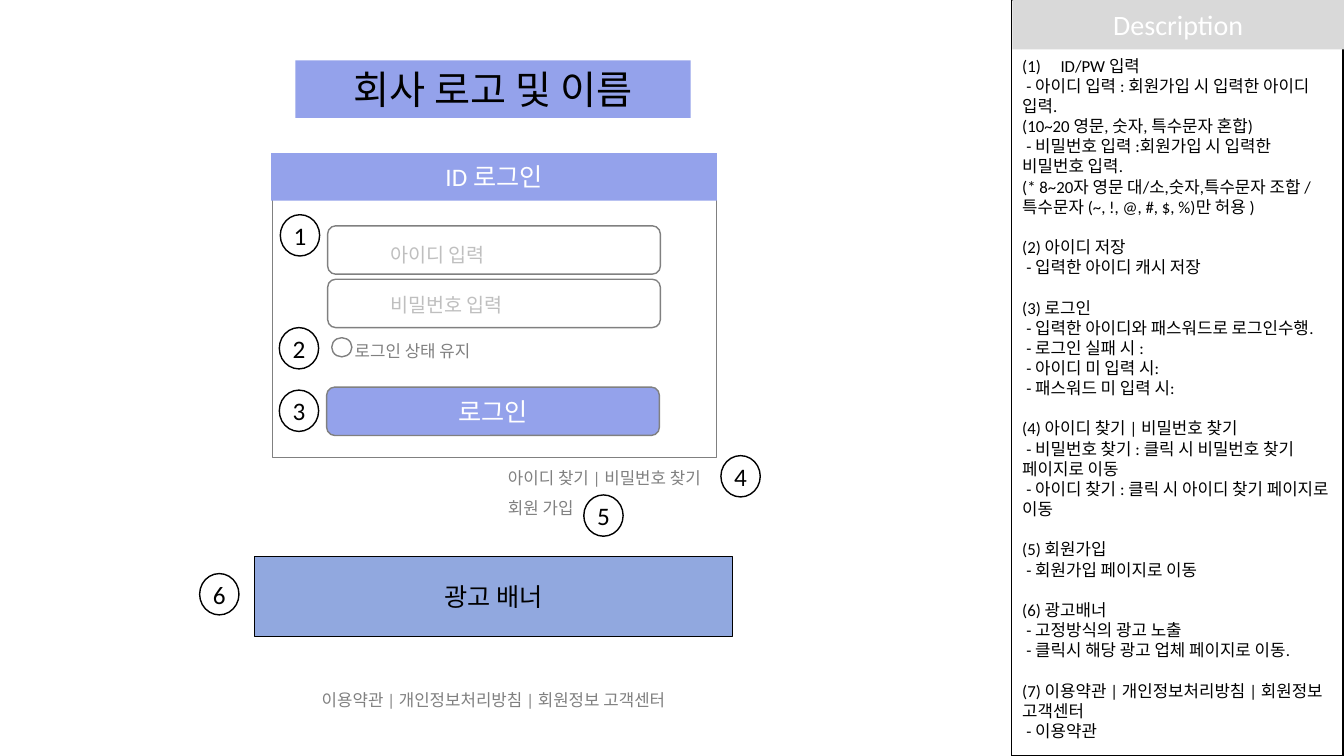
import pptx
import pptx.util
import pptx.dml.color
import pptx.enum.shapes
import pptx.enum.text
import pptx.oxml.ns
from lxml import etree

# Content
TITLE = "회사 로고 및 이름"
FORM_TITLE = "ID 로그인"
FIELDS = ["아이디 입력", "비밀번호 입력"]
KEEP_LOGIN = "로그인 상태 유지"
LOGIN_BUTTON = "로그인"
LINKS = ["아이디 찾기 | 비밀번호 찾기", "회원 가입"]
BANNER = "광고 배너"
FOOTER = "이용약관 | 개인정보처리방침 | 회원정보 고객센터"
PANEL_TITLE = "Description"
DESCRIPTION = [
    ("ID/PW 입력", [
        "- 아이디 입력 : 회원가입 시 입력한 아이디 입력.",
        "(10~20 영문, 숫자, 특수문자 혼합)",
        "- 비밀번호 입력 :회원가입 시 입력한 비밀번호 입력.",
        "(* 8~20자 영문 대/소,숫자,특수문자 조합 / 특수문자 (~, !, @, #, $, %)만 허용 )",
    ]),
    ("(2) 아이디 저장", ["- 입력한 아이디 캐시 저장"]),
    ("(3) 로그인", [
        "- 입력한 아이디와 패스워드로 로그인수행.",
        "- 로그인 실패 시 :",
        "- 아이디 미 입력 시:",
        "- 패스워드 미 입력 시:",
    ]),
    ("(4) 아이디 찾기 | 비밀번호 찾기", [
        "- 비밀번호 찾기 : 클릭 시 비밀번호 찾기 페이지로 이동",
        "- 아이디 찾기 : 클릭 시 아이디 찾기 페이지로 이동",
    ]),
    ("(5) 회원가입", ["- 회원가입 페이지로 이동"]),
    ("(6) 광고배너", ["- 고정방식의 광고 노출", "- 클릭시 해당 광고 업체 페이지로 이동."]),
    ("(7) 이용약관 | 개인정보처리방침 | 회원정보 고객센터", ["- 이용약관"]),
]

# Style
FONT = "Calibri"
COLORS = {"black": "000000", "white": "FFFFFF", "accent": "94A2EB", "banner": "2452C1",
          "gray": "808080", "hint": "BFBFBF", "panel": "D9D9D9"}
SHAPE = pptx.enum.shapes.MSO_SHAPE
ALIGN = pptx.enum.text.PP_ALIGN
ANCHOR = pptx.enum.text.MSO_ANCHOR
Inches = pptx.util.Inches
Pt = pptx.util.Pt

# Layout in inches
WIDTH, HEIGHT = 13.33, 7.5
PANEL_LEFT, PANEL_WIDTH, PANEL_HEADER = 10.04, 3.29, 0.49
FORM_LEFT, FORM_TOP, FORM_WIDTH, FORM_HEIGHT = 2.7, 1.52, 4.41, 3.02
FIELD_LEFT, FIELD_TOP, FIELD_WIDTH, FIELD_HEIGHT, FIELD_PITCH = 3.25, 2.24, 3.3, 0.48, 0.53
HINT_LEFT, HINT_TOP, HINT_PITCH = 3.77, 2.36, 0.5
LINK_LEFT, LINK_TOP, LINK_PITCH = 4.94, 4.59, 0.3
MARK_WIDTH, MARK_HEIGHT = 0.39, 0.41
MARKS = [(2.78, 2.13), (2.77, 3.25), (2.77, 3.87), (7.15, 4.52), (5.79, 4.91), (1.98, 5.69)]
LINE_PITCH = 14.4

presentation = pptx.Presentation()
presentation.slide_width, presentation.slide_height = Inches(WIDTH), Inches(HEIGHT)
slide = presentation.slides.add_slide(presentation.slide_layouts[5])


def rgb(name):
    return pptx.dml.color.RGBColor.from_string(COLORS[name])


def style(paragraph, size, color, align=ALIGN.LEFT):
    paragraph.alignment = align
    paragraph.font.size = Pt(size)
    paragraph.font.name = FONT
    paragraph.font.color.rgb = rgb(color)


def add_box(kind, box, fill=None, line=None, weight=1, text="", size=18, color="white", inset=0.1):
    shape = slide.shapes.add_shape(kind, *map(Inches, box))
    shape.shadow.inherit = False
    if fill:
        shape.fill.solid()
        shape.fill.fore_color.rgb = rgb(fill)
    else:
        shape.fill.background()
    if line:
        shape.line.color.rgb = rgb(line)
        shape.line.width = Pt(weight)
    else:
        shape.line.fill.background()
    if text:
        frame = shape.text_frame
        frame.margin_left = frame.margin_right = Inches(inset)
        frame.margin_top = frame.margin_bottom = Inches(inset / 2)
        frame.vertical_anchor = ANCHOR.MIDDLE
        frame.text = text
        style(frame.paragraphs[0], size, color, ALIGN.CENTER)
    return shape


def add_text(box, text, size, color, align=ALIGN.LEFT):
    frame = slide.shapes.add_textbox(*map(Inches, box)).text_frame
    frame.word_wrap = True
    frame.text = text
    style(frame.paragraphs[0], size, color, align)
    return frame


# Title
title = slide.shapes.title
title.left, title.top, title.width, title.height = map(Inches, (2.93, 0.6, 3.92, 0.57))
title.fill.solid()
title.fill.fore_color.rgb = rgb("accent")
title.text_frame.text = TITLE
title.text_frame.vertical_anchor = ANCHOR.MIDDLE
style(title.text_frame.paragraphs[0], 28, "black", ALIGN.CENTER)

# Login form
add_box(SHAPE.RECTANGLE, (FORM_LEFT, FORM_TOP, FORM_WIDTH, FORM_HEIGHT), line="gray", weight=0.75)
add_box(SHAPE.RECTANGLE, (FORM_LEFT - 0.01, FORM_TOP, FORM_WIDTH + 0.01, 0.47),
        fill="accent", text=FORM_TITLE)
for row, hint in enumerate(FIELDS):
    add_box(SHAPE.ROUNDED_RECTANGLE,
            (FIELD_LEFT, FIELD_TOP + row * FIELD_PITCH, FIELD_WIDTH, FIELD_HEIGHT), line="gray")
    add_text((HINT_LEFT, HINT_TOP + row * HINT_PITCH, 1.68, 0.34), hint, 14, "hint")
add_box(SHAPE.OVAL, (3.29, 3.35, 0.2, 0.19), line="gray")
add_text((3.42, 3.33, 2.57, 0.3), KEEP_LOGIN, 12, "gray")
add_box(SHAPE.ROUNDED_RECTANGLE, (FIELD_LEFT - 0.01, 3.84, FIELD_WIDTH, FIELD_HEIGHT),
        fill="accent", line="gray", text=LOGIN_BUTTON)

# Links, banner and footer
for row, link in enumerate(LINKS):
    add_text((LINK_LEFT, LINK_TOP + row * LINK_PITCH, 3.5, 0.3), link, 12, "gray")
banner = add_box(SHAPE.RECTANGLE, (2.52, 5.52, 4.75, 0.79), fill="banner", line="black",
                 weight=0.75, text=BANNER, color="black")
banner_color = banner.fill._xPr.find(".//" + pptx.oxml.ns.qn("a:srgbClr"))
etree.SubElement(banner_color, pptx.oxml.ns.qn("a:alpha"), val="50000")
add_text((2.93, 6.79, 3.93, 0.3), FOOTER, 12, "gray", ALIGN.CENTER)

# Numbered marks
for number, (left, top) in enumerate(MARKS, 1):
    add_box(SHAPE.OVAL, (left, top, MARK_WIDTH, MARK_HEIGHT), line="black",
            text=str(number), color="black", inset=0).text_frame.word_wrap = False

# Description panel
add_box(SHAPE.RECTANGLE, (PANEL_LEFT - 0.01, 0, PANEL_WIDTH, HEIGHT), line="black")
add_box(SHAPE.RECTANGLE, (PANEL_LEFT, 0, PANEL_WIDTH, PANEL_HEADER),
        fill="panel", text=PANEL_TITLE, size=20)
frame = add_text((PANEL_LEFT, 0.5, PANEL_WIDTH, 6.97), DESCRIPTION[0][0], 12, "black")
first = frame.paragraphs[0]
properties = first._p.get_or_add_pPr()
properties.set("marL", str(Inches(0.38)))
properties.set("indent", str(Inches(-0.38)))
properties.insert(0, etree.Element(pptx.oxml.ns.qn("a:buAutoNum"), type="arabicParenBoth"))
for section, (heading, details) in enumerate(DESCRIPTION):
    if section:
        paragraph = frame.add_paragraph()
        paragraph.text = heading
        paragraph.space_before = Pt(LINE_PITCH)
        style(paragraph, 12, "black")
    for detail in details:
        paragraph = frame.add_paragraph()
        paragraph.text = detail
        if detail.startswith("-"):
            paragraph._p.get_or_add_pPr().set("indent", str(Inches(0.04)))
        style(paragraph, 12, "black")

presentation.save("out.pptx")
